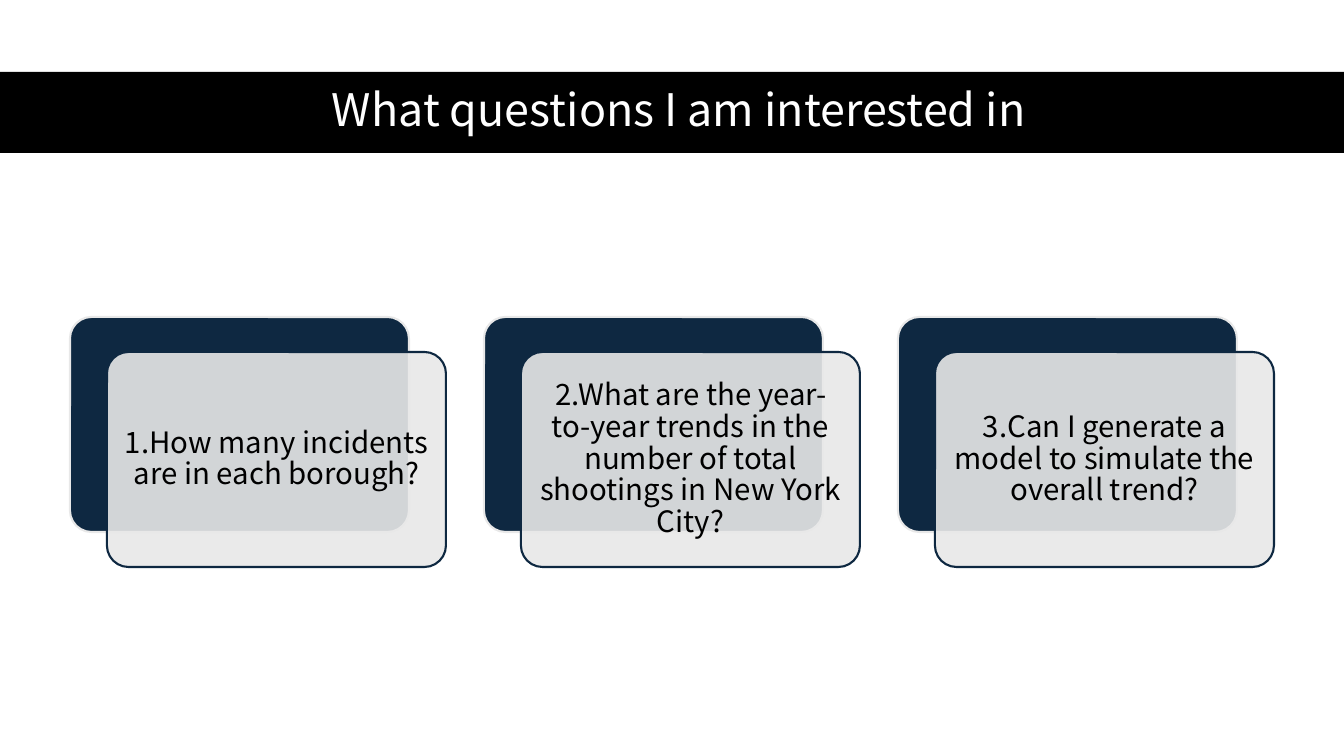
from dataclasses import dataclass

from lxml import etree
from pptx import Presentation
from pptx.dml.color import RGBColor
from pptx.enum.shapes import MSO_SHAPE
from pptx.enum.text import MSO_ANCHOR, PP_ALIGN
from pptx.oxml.ns import qn
from pptx.util import Emu, Pt

RECTANGLE = MSO_SHAPE.RECTANGLE
ROUNDED_RECTANGLE = MSO_SHAPE.ROUNDED_RECTANGLE
MIDDLE = MSO_ANCHOR.MIDDLE
CENTER = PP_ALIGN.CENTER

EMU_PER_PX = 914400 / 100.8
SLIDE_WIDTH, SLIDE_HEIGHT = 1344, 756
CARD_LEFT, CARD_TOP, CARD_PITCH = 70, 317, 414
CARD_WIDTH, CARD_HEIGHT = 339, 215
FRONT_SHIFT_X, FRONT_SHIFT_Y = 37, 35
TEXT_MARGIN = 6

TITLE = "What questions I am interested in"
QUESTIONS = [
    "1.How many incidents are in each borough?",
    "2.What are the year-to-year trends in the number of total shootings in New York City?",
    "3.Can I generate a model to simulate the overall trend?",
]


@dataclass(frozen=True)
class Theme:
    font: str = "Noto Sans CJK SC"
    black: str = "000000"
    white: str = "FFFFFF"
    navy: str = "0E2841"
    grey: str = "E8E8E8"
    title_size: int = 32
    question_size: int = 21
    outline: float = 1.5
    front_alpha: int = 90


THEME = Theme()


def px(length):
    return Emu(round(length * EMU_PER_PX))


def color(value):
    return RGBColor.from_string(value)


def add_box(slide, kind, left, top, width, height, fill, line=None):
    shape = slide.shapes.add_shape(kind, px(left), px(top), px(width), px(height))
    shape.shadow.inherit = False
    shape.fill.solid()
    shape.fill.fore_color.rgb = color(fill)
    if line is None:
        shape.line.fill.background()
    else:
        shape.line.color.rgb = color(line)
        shape.line.width = Pt(THEME.outline)
    return shape


def add_card(slide, left, top, fill, line):
    card = add_box(slide, ROUNDED_RECTANGLE, left, top,
                   CARD_WIDTH, CARD_HEIGHT, fill, line)
    card.adjustments[0] = 0.1
    return card


def set_alpha(shape, percent):
    fill_color = shape.element.spPr.find(qn("a:solidFill"))[0]
    alpha = etree.SubElement(fill_color, qn("a:alpha"))
    alpha.set("val", str(percent * 1000))


def add_text(slide, left, top, width, height, text, size, text_color):
    box = slide.shapes.add_textbox(px(left), px(top), px(width), px(height))
    frame = box.text_frame
    frame.word_wrap = True
    frame.vertical_anchor = MIDDLE
    frame.margin_left = frame.margin_right = px(9)
    frame.margin_top = frame.margin_bottom = px(9)
    paragraph = frame.paragraphs[0]
    paragraph.alignment = CENTER
    paragraph.line_spacing = 0.9
    run = paragraph.add_run()
    run.text = text
    run.font.name = THEME.font
    run.font.size = Pt(size)
    run.font.color.rgb = color(text_color)


def add_title(slide):
    add_box(slide, RECTANGLE, 0, 72, SLIDE_WIDTH, 81, THEME.black)
    add_text(slide, 61, 71, 1236, 81, TITLE, THEME.title_size, THEME.white)


def add_question(slide, left, question):
    add_card(slide, left, CARD_TOP, THEME.navy, THEME.grey)
    front_left, front_top = left + FRONT_SHIFT_X, CARD_TOP + FRONT_SHIFT_Y
    front = add_card(slide, front_left, front_top, THEME.grey, THEME.navy)
    set_alpha(front, THEME.front_alpha)
    add_text(slide, front_left + TEXT_MARGIN, front_top + TEXT_MARGIN,
             CARD_WIDTH - 2 * TEXT_MARGIN, CARD_HEIGHT - 2 * TEXT_MARGIN,
             question, THEME.question_size, THEME.black)


def main():
    presentation = Presentation()
    presentation.slide_width = px(SLIDE_WIDTH)
    presentation.slide_height = px(SLIDE_HEIGHT)
    slide = presentation.slides.add_slide(presentation.slide_layouts[6])
    add_title(slide)
    for index, question in enumerate(QUESTIONS):
        add_question(slide, CARD_LEFT + index * CARD_PITCH, question)
    presentation.save("out.pptx")


if __name__ == "__main__":
    main()
